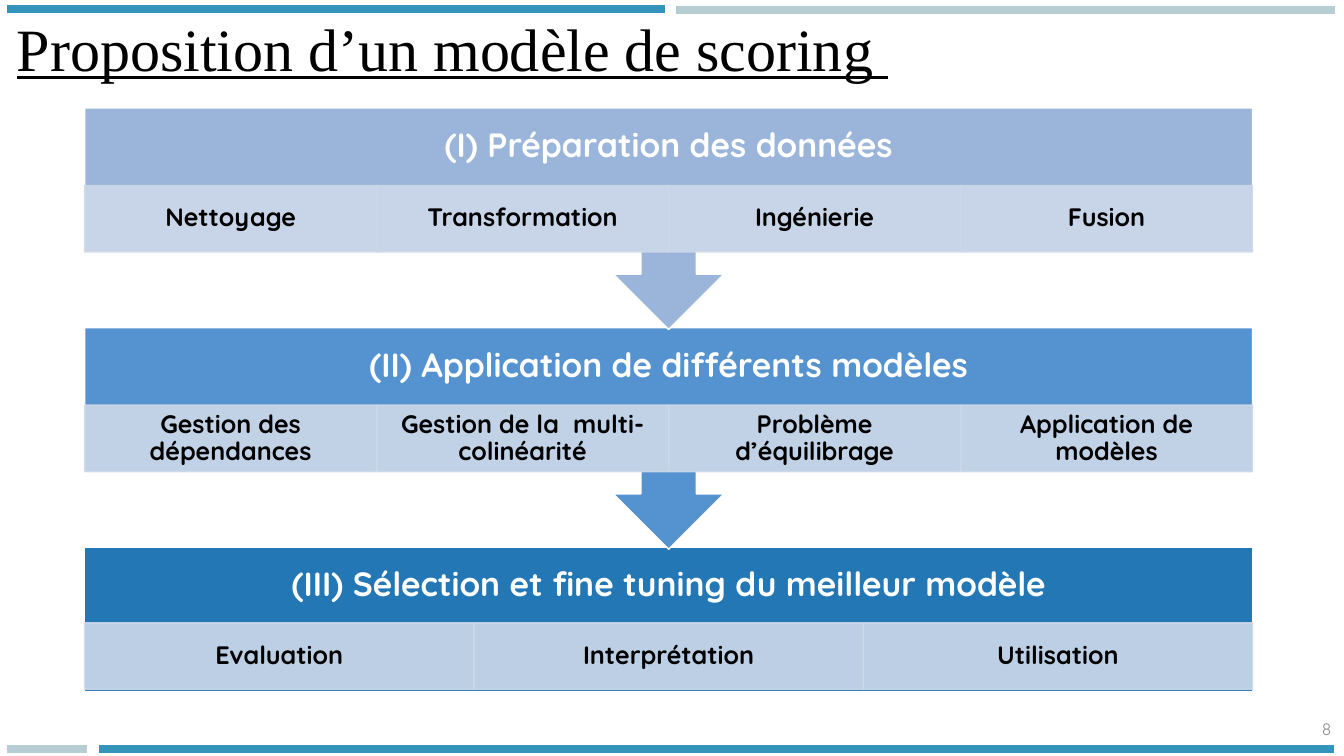
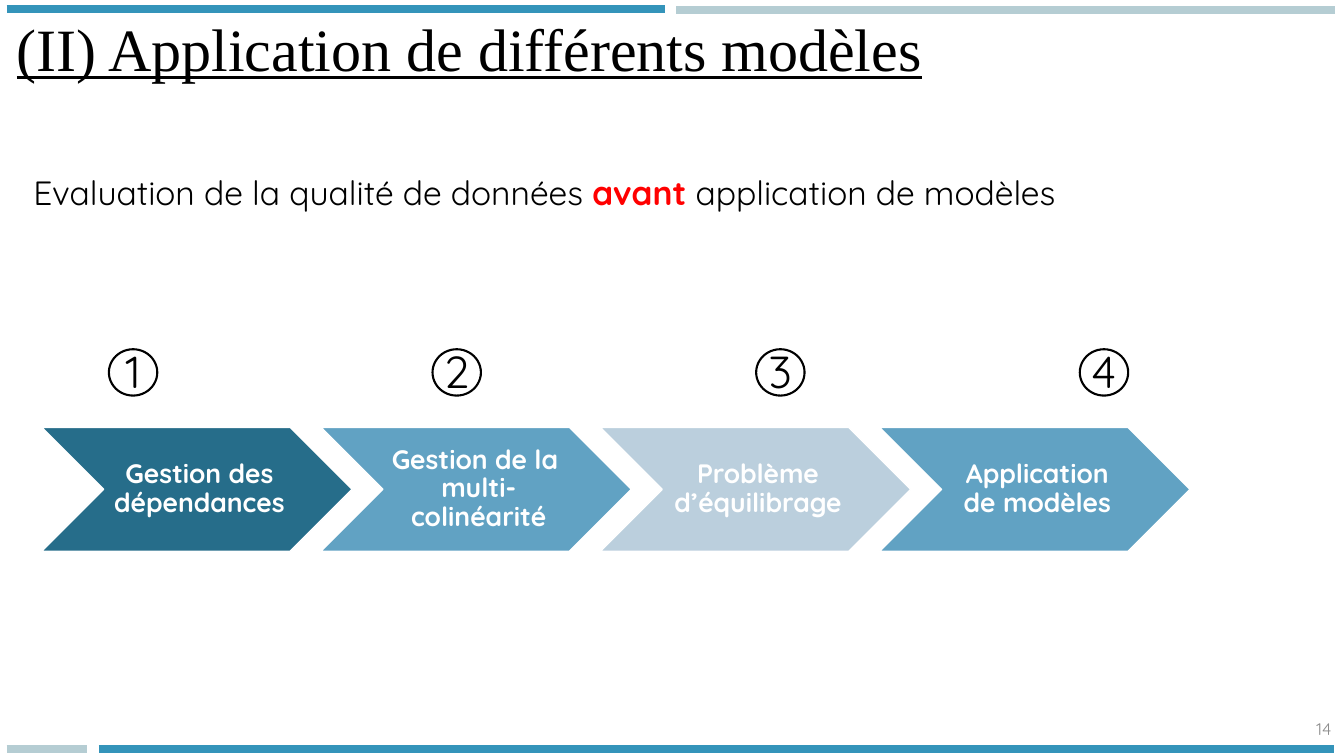
from pptx import Presentation
from pptx.dml.color import RGBColor
from pptx.enum.shapes import MSO_CONNECTOR, MSO_SHAPE
from pptx.enum.text import MSO_ANCHOR, MSO_AUTO_SIZE, PP_ALIGN
from pptx.oxml.ns import qn
from pptx.util import Inches, Pt
from lxml.etree import SubElement

# Colours
BLACK = RGBColor(0x00, 0x00, 0x00)
WHITE = RGBColor(0xFF, 0xFF, 0xFF)
RED = RGBColor(0xFF, 0x00, 0x00)
GREY = RGBColor(0x8C, 0x8C, 0x8C)
BAND_BLUE = RGBColor(0x34, 0x94, 0xBA)
BAND_PALE = RGBColor(0xB5, 0xCD, 0xD3)
STAGE_LIGHT = RGBColor(0x9A, 0xB5, 0xD9)
STAGE_MEDIUM = RGBColor(0x55, 0x93, 0xD0)
STAGE_DARK = RGBColor(0x22, 0x77, 0xB4)
CELL_BLUE = RGBColor(0xCD, 0xD9, 0xEA)
STEP_DARK = RGBColor(0x26, 0x6D, 0x8A)
STEP_MEDIUM = RGBColor(0x61, 0xA2, 0xC3)
STEP_PALE = RGBColor(0xBB, 0xCF, 0xDD)

# Fonts
TITLE_FONT = "Times New Roman"
BODY_FONT = "Quicksand"

# Bands as start, end and height, in percent of the slide
BANDS = [
    (7.35, 99.25, 99.07, BAND_BLUE),
    (0.5, 49.5, 1.2, BAND_BLUE),
    (50.3, 99.3, 1.33, BAND_PALE),
    (0.5, 6.5, 99.07, BAND_PALE),
]

# Stage panels, in percent of the slide
PANEL_LEFT, PANEL_WIDTH = 6.3, 86.9
PANEL_HEIGHT, CALLOUT_HEIGHT = 19.07, 29.33
CELL_HEIGHT = 8.8


class Deck:
    """Holds the style and the current page; lengths are percent of the slide."""

    def __init__(self):
        self.presentation = Presentation()
        self.presentation.slide_width = Inches(13.33)
        self.presentation.slide_height = Inches(7.5)
        self.page = None

    def across(self, share):
        return round(self.presentation.slide_width * share / 100)

    def down(self, share):
        return round(self.presentation.slide_height * share / 100)

    def area(self, left, top, width, height):
        return self.across(left), self.down(top), self.across(width), self.down(height)

    def new_page(self, title, number):
        self.page = self.presentation.slides.add_slide(self.presentation.slide_layouts[5])
        for band in BANDS:
            self.band(*band)
        self.title(title)
        self.text((77.3, 93.67, 22.5, 5.33), [(number, GREY, False)], 12,
                  PP_ALIGN.RIGHT, MSO_ANCHOR.MIDDLE)

    def band(self, start, end, height, colour):
        line = self.page.shapes.add_connector(
            MSO_CONNECTOR.STRAIGHT, self.across(start), self.down(height),
            self.across(end), self.down(height))
        line.line.color.rgb = colour
        line.line.width = Pt(6)
        SubElement(line.element.spPr, qn("a:effectLst"))

    def title(self, text):
        box = self.page.shapes.title
        box.left, box.top, box.width, box.height = self.area(0.5, 1.87, 89.6, 9.6)
        frame = box.text_frame
        frame.auto_size = MSO_AUTO_SIZE.NONE
        frame.vertical_anchor = MSO_ANCHOR.TOP
        para = frame.paragraphs[0]
        para.alignment = PP_ALIGN.LEFT
        para.line_spacing = 0.9
        self.span(para, text, 42.9, BLACK, font=TITLE_FONT).font.underline = True

    def span(self, para, text, size, colour, bold=False, font=BODY_FONT):
        span = para.add_run()
        span.text = text
        span.font.name = font
        span.font.size = Pt(size)
        span.font.bold = bold
        span.font.color.rgb = colour
        return span

    def text(self, area, spans, size, align=PP_ALIGN.LEFT, anchor=MSO_ANCHOR.TOP):
        frame = self.page.shapes.add_textbox(*self.area(*area)).text_frame
        frame.word_wrap = True
        frame.vertical_anchor = anchor
        para = frame.paragraphs[0]
        para.alignment = align
        for text, colour, bold in spans:
            self.span(para, text, size, colour, bold)

    def shape(self, kind, area, fill=None, line=WHITE, weight=1):
        shape = self.page.shapes.add_shape(kind, *self.area(*area))
        shape.shadow.inherit = False
        if fill is None:
            shape.fill.background()
        else:
            shape.fill.solid()
            shape.fill.fore_color.rgb = fill
        shape.line.color.rgb = line
        shape.line.width = Pt(weight)
        return shape

    def label(self, shape, text, size, colour, insets, bold=True, wrap=True):
        frame = shape.text_frame
        frame.word_wrap = wrap
        frame.vertical_anchor = MSO_ANCHOR.MIDDLE
        (frame.margin_left, frame.margin_top,
         frame.margin_right, frame.margin_bottom) = insets
        para = frame.paragraphs[0]
        para.alignment = PP_ALIGN.CENTER
        para.line_spacing = 0.9
        self.span(para, text, size, colour, bold)

    def stage(self, kind, top, height, header, heading, cells, fill):
        """A headed panel with a row of equal cells below the heading."""
        panel = self.shape(kind, (PANEL_LEFT, top, PANEL_WIDTH, height), fill)
        self.label(panel, heading, 24, WHITE,
                   (Inches(0.19), 0, Inches(0.19), self.down(PANEL_HEIGHT - header)))
        width = PANEL_WIDTH / len(cells)
        for column, text in enumerate(cells):
            self.cell((PANEL_LEFT + column * width, top + header, width, CELL_HEIGHT), text)

    def cell(self, area, text):
        cell = self.shape(MSO_SHAPE.RECTANGLE, area, CELL_BLUE, CELL_BLUE)
        for colour in cell.element.spPr.iter(qn("a:srgbClr")):
            SubElement(colour, qn("a:alpha"), val="90000")
        side, edge = Inches(0.14), Inches(0.03)
        self.label(cell, text, 18, BLACK, (side, edge, side, edge))

    def step(self, left, text, fill):
        chevron = self.shape(MSO_SHAPE.CHEVRON, (left, 56.53, 23.1, 16.4), fill)
        edge = Inches(0.03)
        self.label(chevron, text, 19, WHITE, (Inches(0.08), edge, edge, edge))

    def badge(self, left, number):
        circle = self.shape(MSO_SHAPE.OVAL, (left, 46.2, 3.6, 6.13), line=BLACK, weight=1.5)
        self.label(circle, number, 32, BLACK, (0, Inches(0.03), 0, 0), bold=False, wrap=False)


MODEL_STEPS = ["Gestion des dépendances", "Gestion de la  multi-colinéarité",
               "Problème d’équilibrage", "Application de modèles"]
MODEL_HEADING = "(II) Application de différents modèles"


def scoring_page(deck):
    deck.new_page("Proposition d’un modèle de scoring ", "8")
    callout = MSO_SHAPE.DOWN_ARROW_CALLOUT
    # Drawn from the bottom up, so each arrow tip lies over the next panel
    deck.stage(MSO_SHAPE.RECTANGLE, 72.4, PANEL_HEIGHT, 10,
               "(III) Sélection et fine tuning du meilleur modèle",
               ["Evaluation", "Interprétation", "Utilisation"], STAGE_DARK)
    deck.stage(callout, 43.33, CALLOUT_HEIGHT, 10.27, MODEL_HEADING,
               MODEL_STEPS, STAGE_MEDIUM)
    deck.stage(callout, 14.27, CALLOUT_HEIGHT, 10.27, "(I) Préparation des données",
               ["Nettoyage", "Transformation", "Ingénierie", "Fusion"], STAGE_LIGHT)


def models_page(deck):
    deck.new_page(MODEL_HEADING, "14")
    deck.text((1.75, 22.13, 78.7, 6.7),
              [("Evaluation de la qualité de données ", BLACK, False),
               ("avant", RED, True),
               (" application de modèles", BLACK, False)], 24)
    # Numbered chevrons
    fills = [STEP_DARK, STEP_MEDIUM, STEP_PALE, STEP_MEDIUM]
    for index, (text, fill) in enumerate(zip(MODEL_STEPS, fills)):
        deck.step(3.1 + 20.78 * index, text, fill)
        deck.badge(8.1 + 24.08 * index, str(index + 1))


def main():
    deck = Deck()
    scoring_page(deck)
    models_page(deck)
    deck.presentation.save("out.pptx")


if __name__ == "__main__":
    main()
